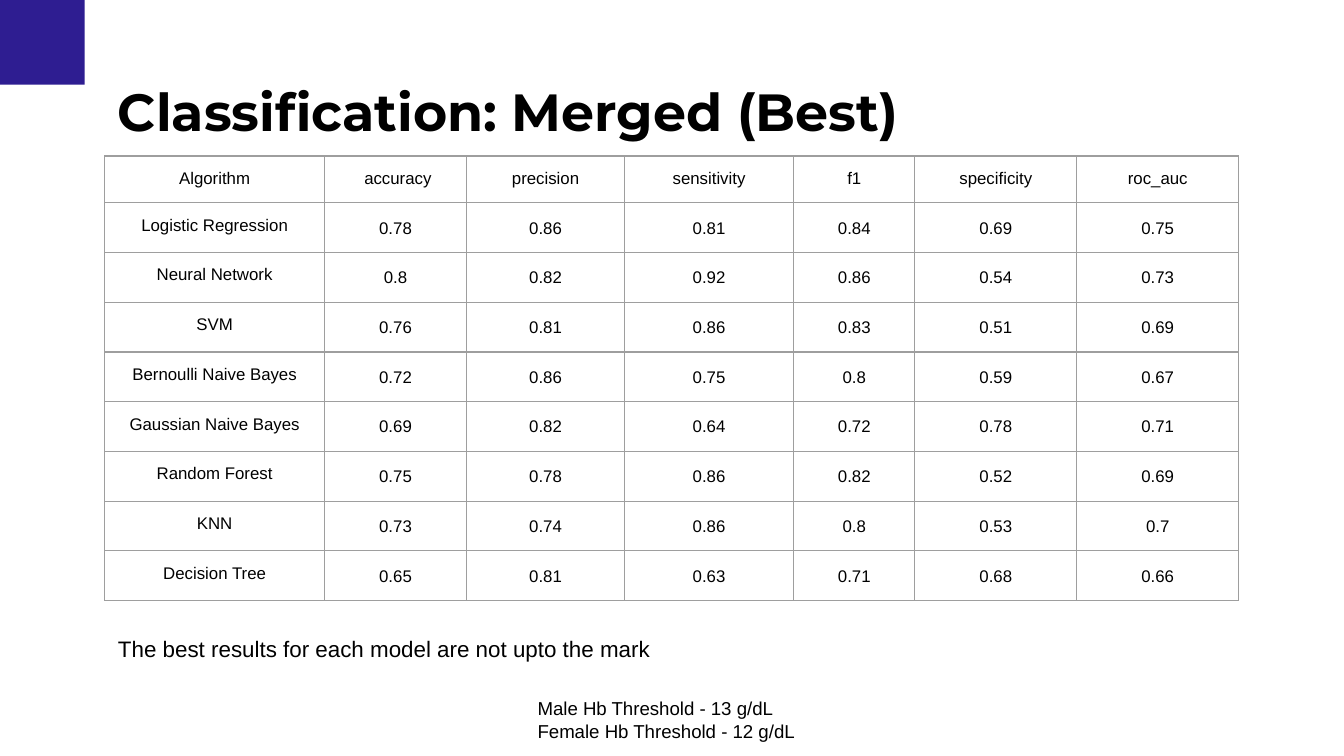
from lxml import etree
from pptx import Presentation
from pptx import util as u
from pptx.dml import color
from pptx.enum import shapes, text
from pptx.oxml import ns

HEADER = ["Algorithm", " accuracy", "precision", "sensitivity", "f1", "specificity", "roc_auc"]
RESULTS = [
    ["Logistic Regression", "0.78", "0.86", "0.81", "0.84", "0.69", "0.75"],
    ["Neural Network", "0.8", "0.82", "0.92", "0.86", "0.54", "0.73"],
    ["SVM", "0.76", "0.81", "0.86", "0.83", "0.51", "0.69"],
    ["Bernoulli Naive Bayes", "0.72", "0.86", "0.75", "0.8", "0.59", "0.67"],
    ["Gaussian Naive Bayes", "0.69", "0.82", "0.64", "0.72", "0.78", "0.71"],
    ["Random Forest", "0.75", "0.78", "0.86", "0.82", "0.52", "0.69"],
    ["KNN", "0.73", "0.74", "0.86", "0.8", "0.53", "0.7"],
    ["Decision Tree", "0.65", "0.81", "0.63", "0.71", "0.68", "0.66"],
]
COL_WIDTHS = [4.15, 2.69, 2.98, 3.2, 2.29, 3.06, 3.06]
ROW_HEIGHT = 0.84
INSET = 0.25


def rgb(value):
    """Turn a hex string into a colour."""
    return color.RGBColor.from_string(value)


def place(sp, box):
    """Move a shape to a box of left, top, width and height in centimetres."""
    sp.left, sp.top, sp.width, sp.height = (u.Cm(v) for v in box)


def set_insets(obj):
    """Give a text frame or a cell the same margin on all sides."""
    obj.margin_left = obj.margin_right = obj.margin_top = obj.margin_bottom = u.Cm(INSET)


def format_runs(tf, size, font="Arial", bold=False):
    """Set the font of every run in a text frame."""
    for p in tf.paragraphs:
        for r in p.runs:
            r.font.name, r.font.size, r.font.bold = font, u.Pt(size), bold
            r.font.color.rgb = rgb("000000")


def fill_frame(tf, words):
    """Put words in a wrapping, top-anchored, left-aligned frame."""
    tf.text = words
    tf.word_wrap = True
    tf.auto_size = text.MSO_AUTO_SIZE.SHAPE_TO_FIT_TEXT
    tf.vertical_anchor = text.MSO_ANCHOR.TOP
    set_insets(tf)
    for p in tf.paragraphs:
        p.alignment = text.PP_ALIGN.LEFT


def add_corner(s, box):
    """Add the coloured corner block."""
    sp = s.shapes.add_shape(shapes.MSO_SHAPE.RECTANGLE, *(u.Cm(v) for v in box))
    sp.shadow.inherit = False
    sp.fill.solid()
    sp.fill.fore_color.rgb = rgb("2E1D91")
    sp.line.fill.background()


def add_title(s, box, words):
    """Fill the title placeholder."""
    sp = s.shapes.title
    fill_frame(sp.text_frame, words)
    place(sp, box)
    format_runs(sp.text_frame, 28, "Montserrat", True)


def add_note(s, box, words, size):
    """Add a plain text box."""
    sp = s.shapes.add_textbox(*(u.Cm(v) for v in box))
    fill_frame(sp.text_frame, words)
    format_runs(sp.text_frame, size)


def add_borders(cell, value, width):
    """Draw a line on all four sides of a cell."""
    tcPr = cell._tc.get_or_add_tcPr()
    for side in ("a:lnL", "a:lnR", "a:lnT", "a:lnB"):
        ln = etree.SubElement(tcPr, ns.qn(side), w=str(u.Pt(width)))
        fill = etree.SubElement(ln, ns.qn("a:solidFill"))
        etree.SubElement(fill, ns.qn("a:srgbClr"), val=value)


def add_results(s, left, top):
    """Add the table of scores with its corner at left and top."""
    rows = [HEADER] + RESULTS
    size = sum(COL_WIDTHS), ROW_HEIGHT * len(rows)
    box = (u.Cm(v) for v in (left, top, *size))
    table = s.shapes.add_table(len(rows), len(HEADER), *box).table
    table.first_row = table.horz_banding = False
    for col, width in zip(table.columns, COL_WIDTHS):
        col.width = u.Cm(width)
    for i, row in enumerate(rows):
        table.rows[i].height = u.Cm(ROW_HEIGHT)
        for j, words in enumerate(row):
            cell = table.cell(i, j)
            add_borders(cell, "9E9E9E", 0.75)
            cell.fill.background()
            set_insets(cell)
            cell.text = words
            p = cell.text_frame.paragraphs[0]
            p.alignment = text.PP_ALIGN.CENTER
            if i and j:
                p.line_spacing = 1.15
            format_runs(cell.text_frame, 9)


def main():
    """Build the slide and save it."""
    prs = Presentation()
    prs.slide_width, prs.slide_height = u.Cm(25.4), u.Cm(14.29)
    s = prs.slides.add_slide(prs.slide_layouts[5])
    add_corner(s, (0, 0, 1.6, 1.6))
    add_title(s, (1.98, 1.24, 21.44, 1.7), "Classification: Merged (Best)")
    thresholds = "Male Hb Threshold - 13 g/dL\nFemale Hb Threshold - 12 g/dL"
    add_note(s, (9.91, 12.93, 5.59, 1.37), thresholds, 10)
    add_results(s, 1.98, 2.95)
    add_note(s, (1.98, 11.76, 13.36, 1.02), "The best results for each model are not upto the mark", 12)
    prs.save("out.pptx")


if __name__ == "__main__":
    main()
